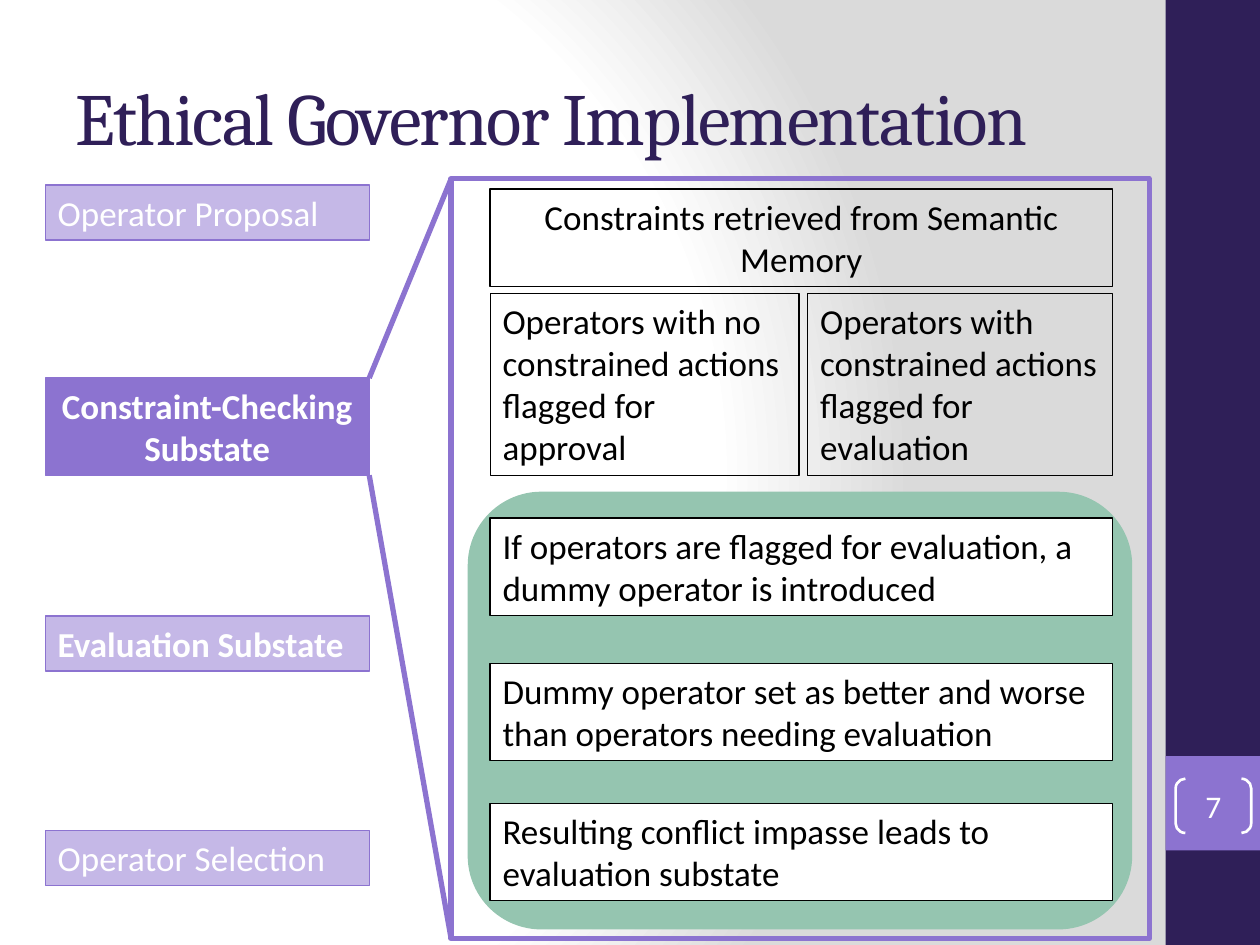
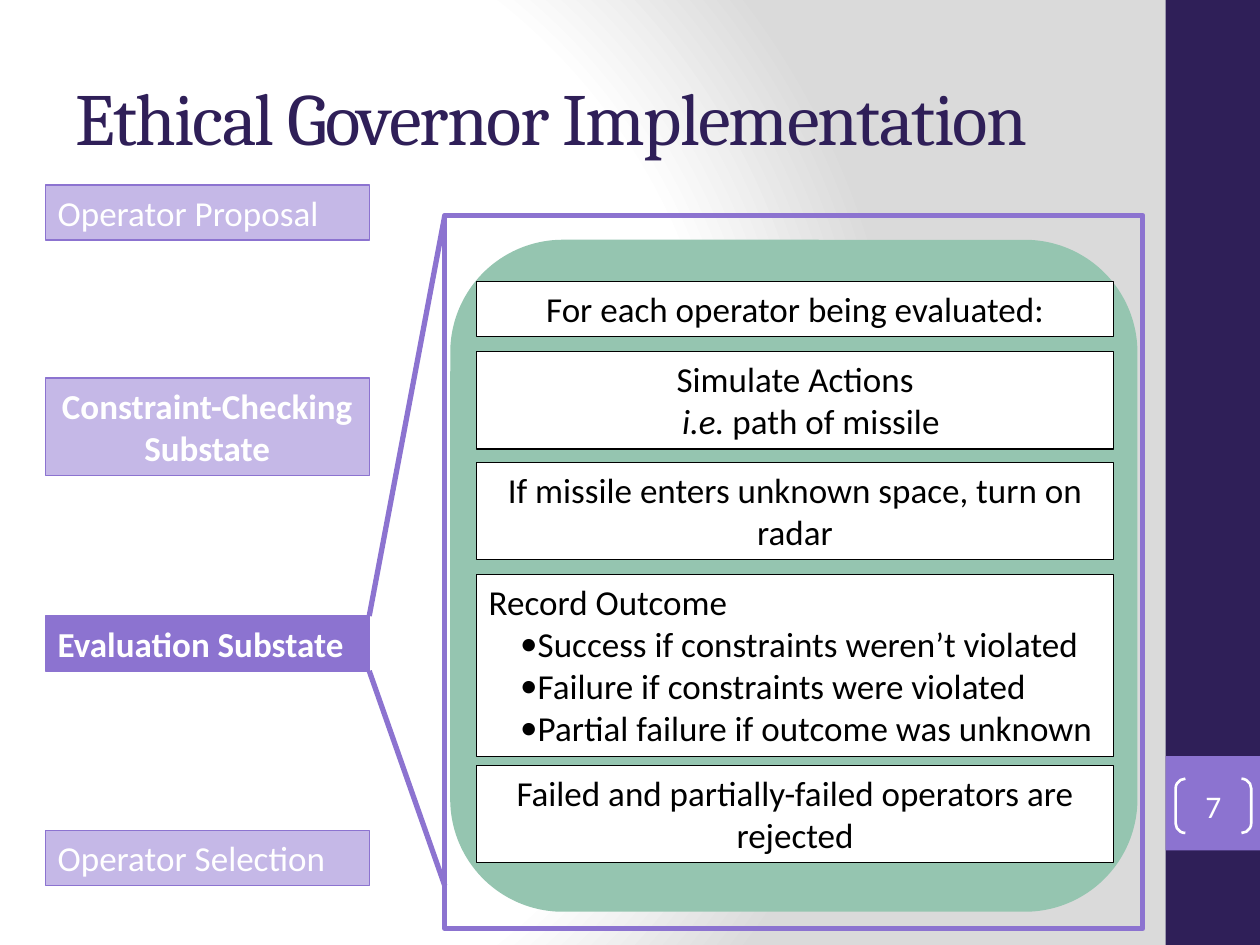
"""Two slides on the substates of an ethical governor implementation."""
from lxml.etree import SubElement
from pptx import Presentation
from pptx.dml.color import RGBColor
from pptx.enum.shapes import MSO_CONNECTOR, MSO_SHAPE
from pptx.enum.text import MSO_ANCHOR, MSO_AUTO_SIZE, PP_ALIGN
from pptx.oxml import parse_xml
from pptx.oxml.ns import nsdecls, qn
from pptx.util import Pt

TITLE = "Ethical Governor Implementation"
PAGE = "7"
STAGES = [
    ("Operator Proposal", 105.8, 1, False),
    ("Constraint-Checking Substate", 216, 2, True),
    ("Evaluation Substate", 352, 1, True),
    ("Operator Selection", 474.5, 1, False),
]
SLIDES = [
    {
        "active": 1,
        "frame": (257.8, 102.2, 398.9, 434.2),
        "panel": (267.8, 281.5, 378.7, 249.1),
        "zoom_bottom": 536.4,
        "steps_left": 280.1,
        "steps_width": 355.7,
        "steps": [
            {"top": 108, "lines": 2, "center": True, "clear": True,
             "text": ["Constraints retrieved from Semantic Memory"]},
            {"top": 167.8, "lines": 4, "clear": True, "width": 176.5,
             "text": ["Operators with no constrained actions flagged for approval"]},
            {"top": 167.8, "lines": 4, "clear": True, "offset": 181.5, "width": 174.2,
             "text": ["Operators with constrained actions flagged for evaluation"]},
            {"top": 296, "lines": 2,
             "text": ["If operators are flagged for evaluation, a dummy operator is introduced"]},
            {"top": 379.2, "lines": 2,
             "text": ["Dummy operator set as better and worse than operators needing evaluation"]},
            {"top": 459.2, "lines": 2,
             "text": ["Resulting conflict impasse leads to evaluation substate"]},
        ],
    },
    {
        "active": 2,
        "frame": (254.2, 123.1, 398.9, 407.5),
        "panel": (257.8, 137.5, 391.7, 383),
        "zoom_bottom": 506.2,
        "steps_left": 272.2,
        "steps_width": 364.3,
        "steps": [
            {"top": 161, "lines": 1, "center": True,
             "text": ["For each operator being evaluated:"]},
            {"top": 201, "lines": 2, "center": True, "indent": 18,
             "text": ["Simulate Actions", "*i.e.* path of missile"]},
            {"top": 264.2, "lines": 2, "center": True,
             "text": ["If missile enters unknown space, turn on radar"]},
            {"top": 328.2, "lines": 4, "indent": 28, "bullets": True,
             "text": ["Record Outcome", "Success if constraints weren’t violated",
                      "Failure if constraints were violated",
                      "Partial failure if outcome was unknown"]},
            {"top": 437.5, "lines": 2, "center": True,
             "text": ["Failed and partially-failed operators are rejected"]},
        ],
    },
]

COLORS = {"dark": "2F1F58", "violet": "8C73D0", "green": "95C5B0",
          "white": "FFFFFF", "black": "000000", "gray": "DADADA"}
STAGE_LEFT, STAGE_WIDTH = 25.9, 185.1
BAND_LEFT, BAND_WIDTH = 666, 54
BULLET_HANG = 10


def color(name):
    return RGBColor.from_string(COLORS[name])


def text_height(lines):
    return 7.2 + 24.2 * lines


def add_box(slide, bounds, fill=None, line=None, weight=0.75,
            kind=MSO_SHAPE.RECTANGLE, alpha=None):
    sp = slide.shapes.add_shape(kind, *map(Pt, bounds))
    sp.shadow.inherit = False
    if fill:
        sp.fill.solid()
        sp.fill.fore_color.rgb = color(fill)
    else:
        sp.fill.background()
    if alpha:
        rgb = sp.fill._xPr.find(".//" + qn("a:srgbClr"))
        SubElement(rgb, qn("a:alpha"), val=str(alpha * 1000))
    if line:
        sp.line.color.rgb = color(line)
        sp.line.width = Pt(weight)
    else:
        sp.line.fill.background()
    return sp


def style_run(r, size, name, font="Calibri", bold=False, italic=False):
    r.font.size = Pt(size)
    r.font.name = font
    r.font.color.rgb = color(name)
    r.font.bold = bold
    r.font.italic = italic


def write(sp, paragraphs, name, size=20, center=False, bold=False, indent=0, bullets=False):
    tf = sp.text_frame
    tf.word_wrap = True
    tf.vertical_anchor = MSO_ANCHOR.TOP
    tf.auto_size = MSO_AUTO_SIZE.SHAPE_TO_FIT_TEXT
    for i, text in enumerate(paragraphs):
        p = tf.add_paragraph() if i else tf.paragraphs[0]
        p.alignment = PP_ALIGN.CENTER if center else PP_ALIGN.LEFT
        for j, part in enumerate(text.split("*")):
            if part:
                r = p.add_run()
                r.text = part
                style_run(r, size, name, bold=bold, italic=j % 2 == 1)
        if i and indent:
            pPr = p._p.get_or_add_pPr()
            pPr.set("marL", str(Pt(indent)))
            if bullets:
                pPr.set("indent", str(-Pt(BULLET_HANG)))
                SubElement(pPr, qn("a:buFont"), typeface="Calibri")
                SubElement(pPr, qn("a:buChar"), char="•")


def set_background(master):
    fill = master.background.fill
    fill.solid()
    solid = fill._xPr.find(qn("a:solidFill"))
    stops = "".join(
        f'<a:gs pos="{pos * 1000}"><a:srgbClr val="{COLORS[name]}"/></a:gs>'
        for pos, name in [(0, "white"), (75, "white"), (100, "gray")])
    gradient = parse_xml(
        f'<a:gradFill {nsdecls("a")} rotWithShape="1"><a:gsLst>{stops}</a:gsLst>'
        '<a:path path="circle"><a:fillToRect l="20000" t="50000" r="100000" b="50000"/>'
        '</a:path></a:gradFill>')
    solid.getparent().replace(solid, gradient)


def add_title(slide):
    sp = slide.shapes.title
    sp.left, sp.top, sp.width, sp.height = map(Pt, (36, 21.6, 600, 90))
    tf = sp.text_frame
    tf.text = TITLE
    tf.word_wrap = True
    tf.auto_size = MSO_AUTO_SIZE.NONE
    tf.vertical_anchor = MSO_ANCHOR.MIDDLE
    p = tf.paragraphs[0]
    p.alignment = PP_ALIGN.LEFT
    style_run(p.runs[0], 42, "dark", font="Cambria")
    p.runs[0]._r.get_or_add_rPr().set("spc", "-100")


def add_band(slide):
    add_box(slide, (BAND_LEFT, 0, BAND_WIDTH, 540), "dark")
    add_box(slide, (BAND_LEFT, 432, BAND_WIDTH, BAND_WIDTH), "violet")
    sp = add_box(slide, (671.8, 445, 43.2, 31), line="white", weight=1.5,
                 kind=MSO_SHAPE.DOUBLE_BRACKET)
    sp.adjustments[0] = 0.18
    write(sp, [PAGE], "white", size=18, center=True)
    tf = sp.text_frame
    tf.auto_size = MSO_AUTO_SIZE.NONE
    tf.vertical_anchor = MSO_ANCHOR.MIDDLE
    tf.margin_left = tf.margin_right = tf.margin_top = tf.margin_bottom = 0


def add_stages(slide, active):
    for i, (text, top, lines, bold) in enumerate(STAGES):
        sp = add_box(slide, (STAGE_LEFT, top, STAGE_WIDTH, text_height(lines)),
                     "violet", "violet", alpha=None if i == active else 50)
        write(sp, [text], "white", center=lines > 1, bold=bold)


def add_zoom(slide, content):
    left, top = content["frame"][:2]
    stage_top, lines = STAGES[content["active"]][1:3]
    start_x = STAGE_LEFT + STAGE_WIDTH
    for start_y, end_y in [(stage_top, top),
                           (stage_top + text_height(lines), content["zoom_bottom"])]:
        cxn = slide.shapes.add_connector(
            MSO_CONNECTOR.STRAIGHT, *map(Pt, (start_x, start_y, left, end_y)))
        cxn.line.color.rgb = color("violet")
        cxn.line.width = Pt(3)
        SubElement(cxn._element.spPr, qn("a:effectLst"))


def add_steps(slide, content):
    for step in content["steps"]:
        bounds = (content["steps_left"] + step.get("offset", 0), step["top"],
                  step.get("width", content["steps_width"]), text_height(step["lines"]))
        sp = add_box(slide, bounds, None if step.get("clear") else "white", "black")
        write(sp, step["text"], "black", center=step.get("center", False),
              indent=step.get("indent", 0), bullets=step.get("bullets", False))


def main():
    prs = Presentation()
    prs.slide_width, prs.slide_height = Pt(720), Pt(540)
    set_background(prs.slide_master)
    for content in SLIDES:
        slide = prs.slides.add_slide(prs.slide_layouts[5])
        add_band(slide)
        add_title(slide)
        add_box(slide, content["panel"], "green", "green", 1, MSO_SHAPE.ROUNDED_RECTANGLE)
        add_steps(slide, content)
        add_box(slide, content["frame"], line="violet", weight=3)
        add_zoom(slide, content)
        add_stages(slide, content["active"])
    prs.save("out.pptx")


if __name__ == "__main__":
    main()
